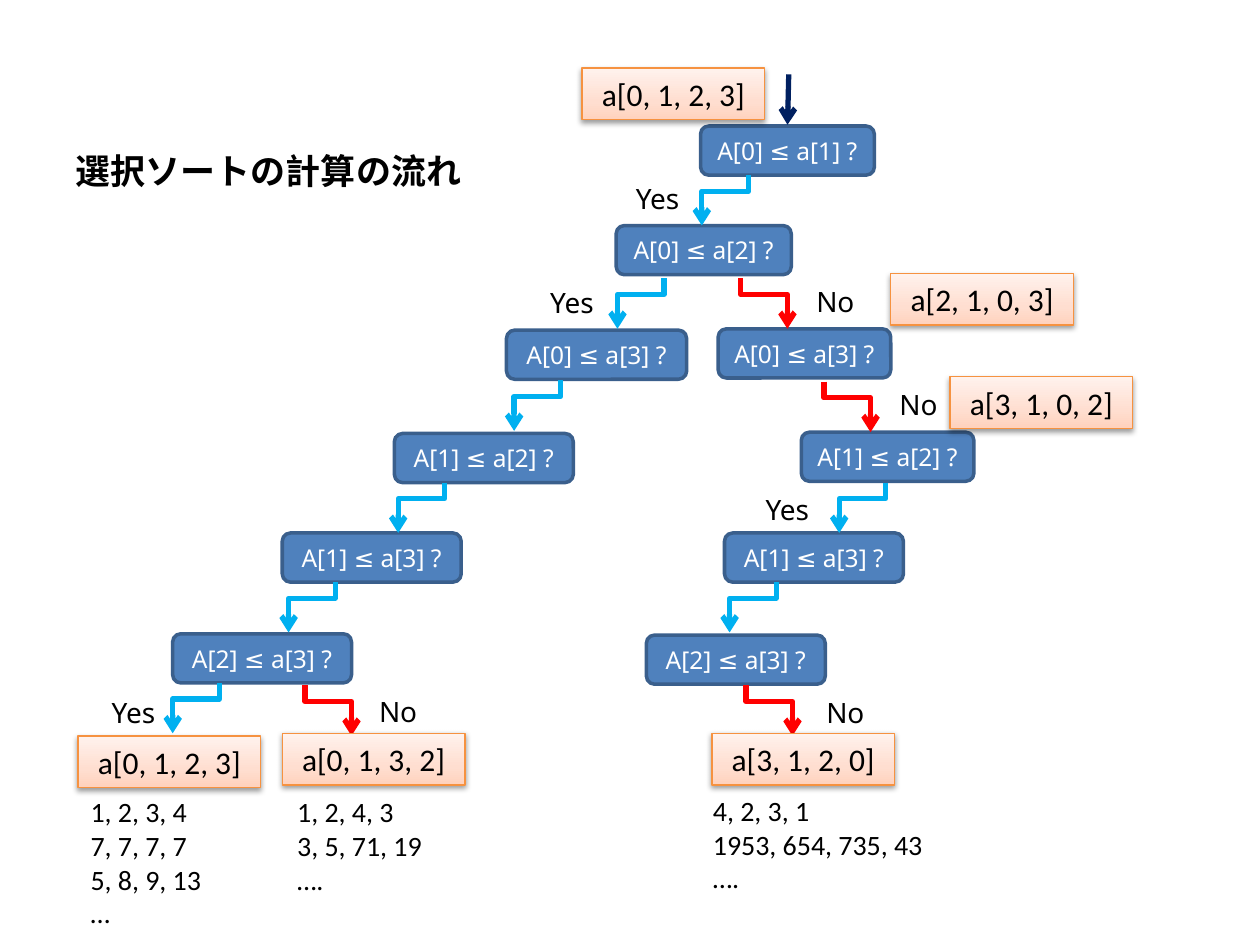
import pptx
import pptx.util
import pptx.dml.color
import pptx.enum.shapes
import pptx.enum.text
import pptx.oxml
import pptx.oxml.ns

COLORS = {
    "node": "4F81BD", "node_line": "3A5F8C", "node_text": "FFFFFF", "text": "000000",
    "state_line": "F69240", "yes": "00B0F0", "no": "FF0000", "start": "002060",
}
GRADIENT = [(0, "FFD2BD"), (35, "FFDED0"), (100, "FFF2ED")]
TITLE = "選択ソートの計算の流れ"

DECISIONS = [
    ("A[0] ≤ a[1] ?", 5.56, 1.0, 1.38),
    ("A[0] ≤ a[2] ?", 4.89, 1.79, 1.39),
    ("A[0] ≤ a[3] ?", 4.02, 2.62, 1.43),
    ("A[1] ≤ a[2] ?", 3.13, 3.44, 1.42),
    ("A[1] ≤ a[3] ?", 2.24, 4.23, 1.42),
    ("A[2] ≤ a[3] ?", 1.37, 5.03, 1.42),
    ("A[0] ≤ a[3] ?", 5.7, 2.61, 1.37),
    ("A[1] ≤ a[2] ?", 6.36, 3.43, 1.37),
    ("A[1] ≤ a[3] ?", 5.75, 4.23, 1.42),
    ("A[2] ≤ a[3] ?", 5.13, 5.04, 1.42),
]
BRANCHES = [
    ("yes", 5.94, 1.39), ("yes", 5.27, 2.21), ("yes", 4.45, 3.02), ("yes", 3.53, 3.83),
    ("yes", 2.66, 4.62), ("yes", 1.74, 5.42), ("yes", 7.03, 3.83), ("yes", 6.16, 4.62),
    ("no", 5.88, 2.21), ("no", 6.54, 3.03), ("no", 2.42, 5.44), ("no", 5.92, 5.44),
]
STATES = [
    ("a[0, 1, 2, 3]", 4.62, 0.54), ("a[2, 1, 0, 3]", 7.07, 2.17),
    ("a[3, 1, 0, 2]", 7.54, 2.99), ("a[0, 1, 2, 3]", 0.62, 5.84),
    ("a[0, 1, 3, 2]", 2.24, 5.82), ("a[3, 1, 2, 0]", 5.65, 5.82),
]
LABELS = [
    ("Yes", 4.78, 1.39), ("Yes", 4.1, 2.22), ("Yes", 5.81, 3.86), ("Yes", 0.62, 5.47),
    ("No", 6.38, 2.21), ("No", 7.04, 3.03), ("No", 2.91, 5.46), ("No", 6.46, 5.47),
]
EXAMPLES = [
    (["1, 2, 3, 4", "7, 7, 7, 7", "5, 8, 9, 13", "…"], 0.62, 6.26, 1.45, 1.18),
    (["1, 2, 4, 3", "3, 5, 71, 19", "…."], 2.26, 6.26, 1.45, 0.91),
    (["4, 2, 3, 1", "1953, 654, 735, 43", "…."], 5.56, 6.25, 1.91, 0.91),
]
NODE_HEIGHT = 0.39
STATE_SIZE = (1.45, 0.41)
LABEL_SIZE = (0.71, 0.37)
BRANCH_RUN, BRANCH_DROP = 0.37, 0.4
BEND = 32000

Inches = pptx.util.Inches
Pt = pptx.util.Pt
ALIGN = pptx.enum.text.PP_ALIGN
ANCHOR = pptx.enum.text.MSO_ANCHOR
SHAPE = pptx.enum.shapes.MSO_SHAPE
CONNECTOR = pptx.enum.shapes.MSO_CONNECTOR
NAMESPACE = pptx.oxml.ns.nsdecls("a")

FORMATS = {
    "title": {"size": Pt(20), "name": "Calibri", "bold": True},
    "node": {"size": Pt(14), "name": "Noto Sans"},
    "state": {"size": Pt(18), "name": "Calibri"},
    "label": {"size": Pt(16), "name": "Noto Sans"},
    "example": {"size": Pt(16), "name": "Calibri"},
}


def rgb(name):
    return pptx.dml.color.RGBColor.from_string(COLORS[name])


def write(shape, lines, style, alignment, anchor, color="text"):
    frame = shape.text_frame
    frame.word_wrap = True
    frame.vertical_anchor = anchor
    frame.text = "\n".join(lines)
    for paragraph in frame.paragraphs:
        paragraph.alignment = alignment
        font = paragraph.runs[0].font
        for key, value in FORMATS[style].items():
            setattr(font, key, value)
        font.color.rgb = rgb(color)


def add_box(kind, box, line_color, line_width):
    shape = slide.shapes.add_shape(kind, *map(Inches, box))
    shape.shadow.inherit = False
    shape.line.color.rgb = rgb(line_color)
    shape.line.width = Pt(line_width)
    return shape


def add_arrow(kind, points, color):
    connector = slide.shapes.add_connector(kind, *map(Inches, points))
    connector.line.color.rgb = rgb(color)
    connector.line.width = Pt(3)
    line = connector.line._get_or_add_ln()
    line.append(pptx.oxml.parse_xml(f'<a:tailEnd {NAMESPACE} type="arrow"/>'))
    connector._element.spPr.append(pptx.oxml.parse_xml(f"<a:effectLst {NAMESPACE}/>"))
    return connector


def add_branch(answer, x, y):
    side = -1 if answer == "yes" else 1
    middle_x, middle_y = x + side * BRANCH_RUN / 2, y + BRANCH_DROP / 2
    half_width, half_height = BRANCH_DROP / 2, BRANCH_RUN / 2
    points = (middle_x + side * half_width, middle_y - half_height,
              middle_x - side * half_width, middle_y + half_height)
    connector = add_arrow(CONNECTOR.ELBOW, points, answer)
    properties = connector._element.spPr
    properties.find(pptx.oxml.ns.qn("a:xfrm")).set("rot", "5400000" if side < 0 else "16200000")
    geometry = properties.find(pptx.oxml.ns.qn("a:prstGeom"))
    for child in list(geometry):
        geometry.remove(child)
    geometry.append(pptx.oxml.parse_xml(
        f'<a:avLst {NAMESPACE}><a:gd name="adj1" fmla="val {BEND}"/></a:avLst>'))


def add_state(text, x, y):
    shape = add_box(SHAPE.RECTANGLE, (x, y, *STATE_SIZE), "state_line", 0.75)
    properties = shape._element.spPr
    stops = "".join(f'<a:gs pos="{position * 1000}"><a:srgbClr val="{color}"/></a:gs>'
                    for position, color in GRADIENT)
    geometry = properties.find(pptx.oxml.ns.qn("a:prstGeom"))
    geometry.addnext(pptx.oxml.parse_xml(
        f'<a:gradFill {NAMESPACE} rotWithShape="1"><a:gsLst>{stops}</a:gsLst>'
        '<a:lin ang="16200000" scaled="0"/></a:gradFill>'))
    properties.find(pptx.oxml.ns.qn("a:effectLst")).append(pptx.oxml.parse_xml(
        f'<a:outerShdw {NAMESPACE} blurRad="40000" dist="20000" dir="5400000" rotWithShape="0">'
        '<a:srgbClr val="000000"><a:alpha val="38000"/></a:srgbClr></a:outerShdw>'))
    write(shape, [text], "state", ALIGN.CENTER, ANCHOR.MIDDLE)


def add_text(lines, box, style, alignment):
    shape = slide.shapes.add_textbox(*map(Inches, box))
    write(shape, lines, style, alignment, ANCHOR.TOP)


presentation = pptx.Presentation()
presentation.slide_width, presentation.slide_height = Inches(10), Inches(7.5)
slide = presentation.slides.add_slide(presentation.slide_layouts[5])

title = slide.shapes.title
for key, value in {"left": 0.5, "top": 0.3, "width": 3.29, "height": 1.27}.items():
    setattr(title, key, Inches(value))
write(title, [TITLE], "title", ALIGN.LEFT, ANCHOR.BOTTOM)

for text, x, y, width in DECISIONS:
    node = add_box(SHAPE.ROUNDED_RECTANGLE, (x, y, width, NODE_HEIGHT), "node_line", 2)
    node.fill.solid()
    node.fill.fore_color.rgb = rgb("node")
    write(node, [text], "node", ALIGN.CENTER, ANCHOR.MIDDLE, "node_text")
for branch in BRANCHES:
    add_branch(*branch)
add_arrow(CONNECTOR.STRAIGHT, (6.26, 0.59, 6.25, 0.99), "start")
for state in STATES:
    add_state(*state)
for text, x, y in LABELS:
    add_text([text], (x, y, *LABEL_SIZE), "label", ALIGN.RIGHT if text == "Yes" else ALIGN.LEFT)
for lines, *box in EXAMPLES:
    add_text(lines, box, "example", ALIGN.LEFT)

presentation.save("out.pptx")
